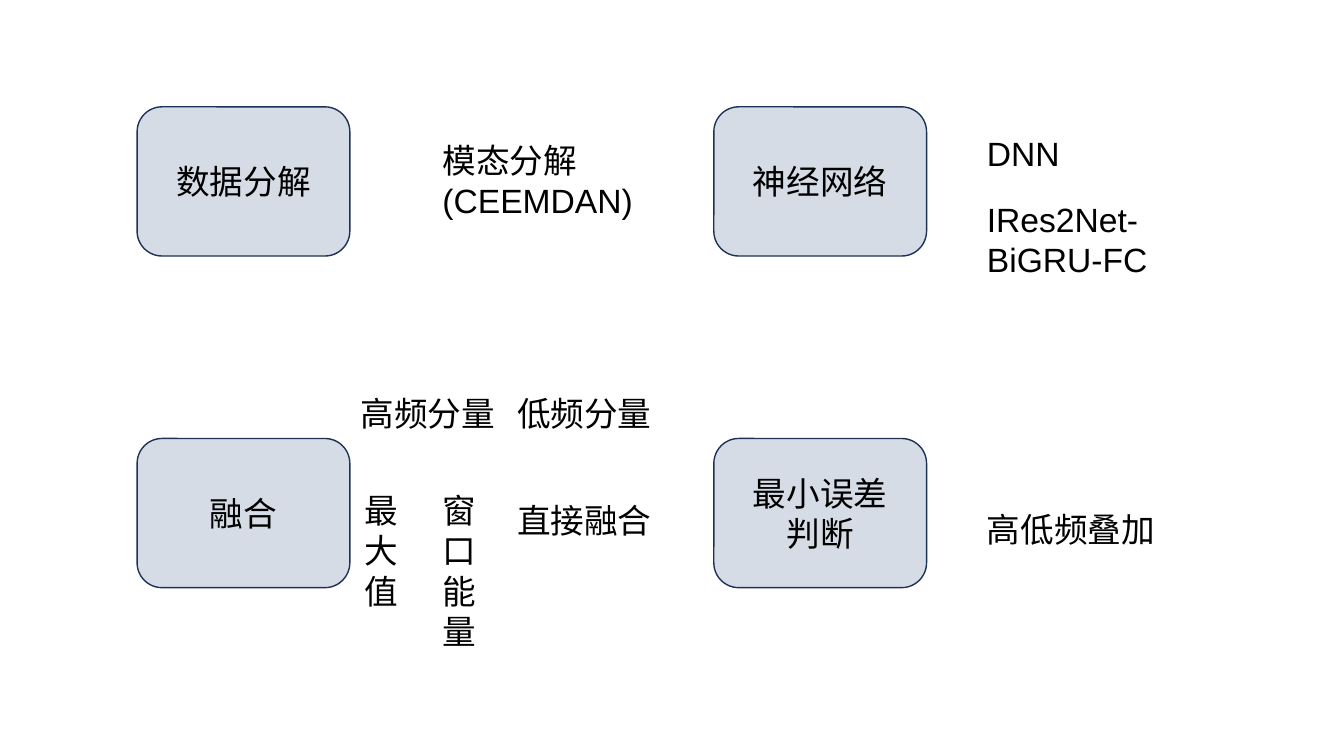
import pptx
import pptx.dml.color
import pptx.enum.shapes
import pptx.enum.text
import pptx.util

PX = 9144
COLORS = {"fill": "D6DCE5", "outline": "1E3256", "text": "000000"}
STAGE_WIDTH, STAGE_HEIGHT = 211, 148
LEFT, TOP = 136, 106
COLUMN_STEP, ROW_STEP = 572, 329

STAGES = [
    (0, 0, ["数据分解"], [("模态分解(CEEMDAN)", 293, 28, 211, 91, True)]),
    (0, 1, ["融合"], [
        ("高频分量", 212, -50, 155, 50, False),
        ("低频分量", 367, -50, 155, 50, False),
        ("直接融合", 367, 56, 155, 50, False),
        ("最大值", 216, 46, 74, 131, True),
        ("窗口能量", 293, 46, 74, 172, True),
    ]),
    (1, 0, ["神经网络"], [
        ("DNN", 261, 21, 92, 50, False),
        ("IRes2Net-BiGRU-FC", 261, 86, 257, 91, True),
    ]),
    (1, 1, ["最小误差", "判断"], [("高低频叠加", 261, 65, 188, 50, False)]),
]


def color(name):
    """Return the named colour."""
    return pptx.dml.color.RGBColor.from_string(COLORS[name])


def place(left, top, width, height):
    """Turn a px box into EMU lengths."""
    return [pptx.util.Emu(length * PX) for length in (left, top, width, height)]


def write(paragraph, lines):
    """Add the lines as runs parted by line breaks."""
    for index, line in enumerate(lines):
        if index:
            paragraph.add_line_break()
        run = paragraph.add_run()
        run.text = line
        run.font.name = "Arial"
        run.font.size = pptx.util.Pt(24)
        run.font.color.rgb = color("text")


def add_method(slide, box, wording, wrap):
    """Place a method label in its box."""
    method = slide.shapes.add_textbox(*place(*box))
    method.text_frame.word_wrap = wrap
    method.text_frame.auto_size = pptx.enum.text.MSO_AUTO_SIZE.SHAPE_TO_FIT_TEXT
    write(method.text_frame.paragraphs[0], [wording])


def add_stage(slide, box, title, methods):
    """Draw a stage in its box with its methods around it."""
    stage = slide.shapes.add_shape(
        pptx.enum.shapes.MSO_SHAPE.ROUNDED_RECTANGLE, *place(*box))
    stage.shadow.inherit = False
    stage.fill.solid()
    stage.fill.fore_color.rgb = color("fill")
    stage.line.color.rgb = color("outline")
    stage.line.width = pptx.util.Pt(1)
    stage.text_frame.word_wrap = True
    stage.text_frame.vertical_anchor = pptx.enum.text.MSO_ANCHOR.MIDDLE
    heading = stage.text_frame.paragraphs[0]
    heading.alignment = pptx.enum.text.PP_ALIGN.CENTER
    write(heading, title)
    for wording, dx, dy, width, height, wrap in methods:
        add_method(slide, (box[0] + dx, box[1] + dy, width, height), wording, wrap)


def main():
    """Build the slide and save it."""
    deck = pptx.Presentation()
    deck.slide_width = pptx.util.Emu(1333 * PX)
    deck.slide_height = pptx.util.Emu(750 * PX)
    slide = deck.slides.add_slide(deck.slide_layouts[6])
    for column, row, title, methods in STAGES:
        box = (LEFT + column * COLUMN_STEP, TOP + row * ROW_STEP,
               STAGE_WIDTH, STAGE_HEIGHT)
        add_stage(slide, box, title, methods)
    deck.save("out.pptx")


if __name__ == "__main__":
    main()
